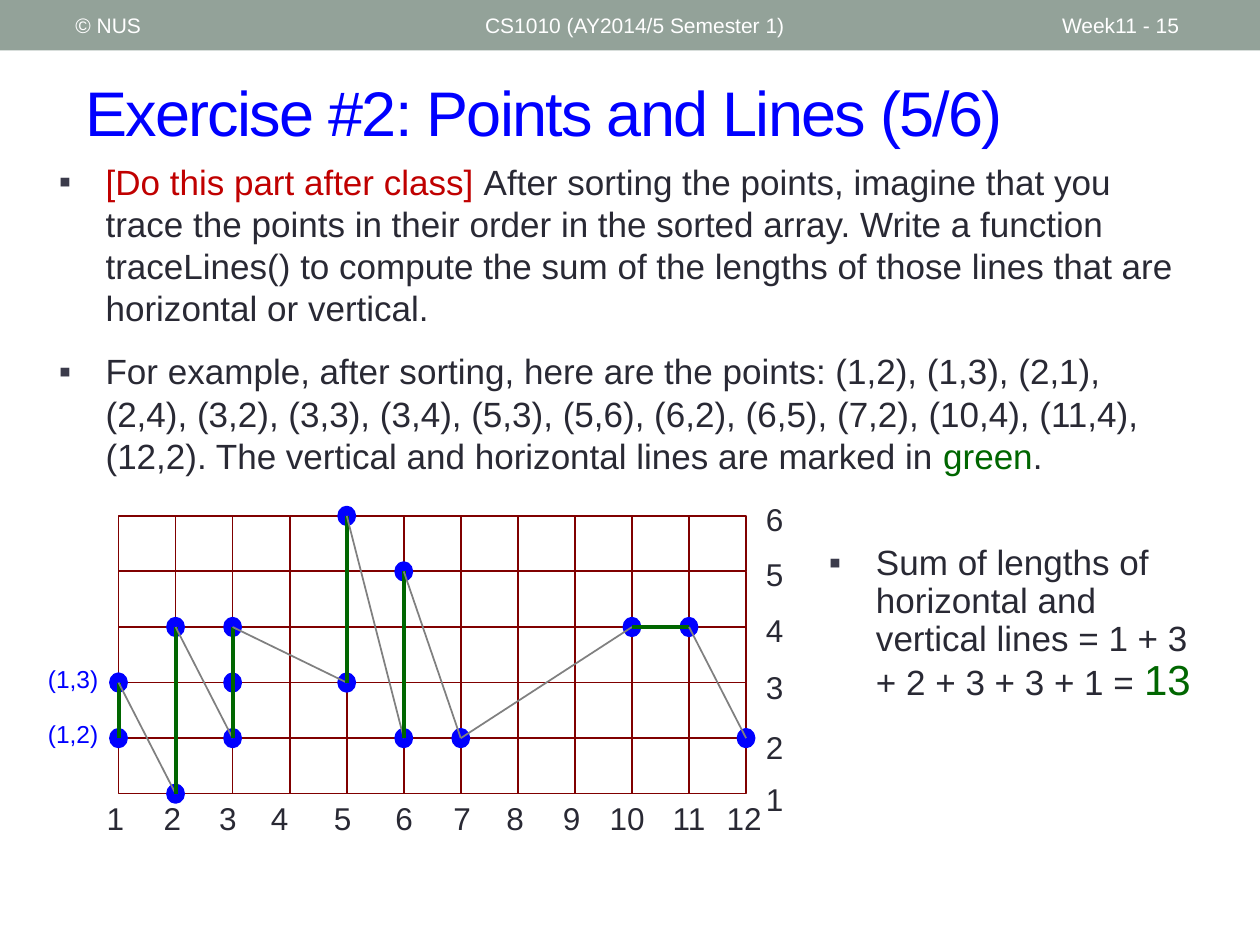
from itertools import pairwise

from lxml import etree
from pptx import Presentation
from pptx.dml.color import RGBColor
from pptx.enum.shapes import MSO_CONNECTOR, MSO_SHAPE
from pptx.enum.text import MSO_ANCHOR, PP_ALIGN
from pptx.oxml.ns import qn
from pptx.util import Cm, Pt

RECTANGLE, OVAL = MSO_SHAPE.RECTANGLE, MSO_SHAPE.OVAL
STRAIGHT = MSO_CONNECTOR.STRAIGHT
TOP, MIDDLE = MSO_ANCHOR.TOP, MSO_ANCHOR.MIDDLE
LEFT, CENTER = PP_ALIGN.LEFT, PP_ALIGN.CENTER
FONT = "Arial"
COLORS = {
    "band": "93A299", "white": "FFFFFF", "blue": "0000FF", "red": "C00000",
    "text": "292934", "bullet": "3B3B4B", "green": "006600",
    "grid": "800000", "gray": "808080",
}

# Each paragraph is a list of (text, color, size) spans.
TITLE = "Exercise #2: Points and Lines (5/6)"
HEADER = [
    ("© NUS", 1.27, 8.05),
    ("CS1010 (AY2014/5 Semester 1)", 9.53, 11.43),
    ("Week11 - 15", 21.16, 2.97),
]
BODY = [
    [("[Do this part after class] ", "red", 20),
     ("After sorting the points, imagine that you trace the points in their order "
      "in the sorted array. Write a function traceLines() to compute the sum of the "
      "lengths of those lines that are horizontal or vertical.", "text", 20)],
    [("For example, after sorting, here are the points: (1,2), (1,3), (2,1), (2,4), "
      "(3,2), (3,3), (3,4), (5,3), (5,6), (6,2), (6,5), (7,2), (10,4), (11,4), (12,2). "
      "The vertical and horizontal lines are marked in ", "text", 20),
     ("green", "green", 20), (".", "text", 20)],
]
TOTAL = [
    [("Sum of lengths of horizontal and vertical lines = 1 + 3 + 2 + 3 + 3 + 1 = ",
      "text", 20), ("13", "green", 24)],
]
POINTS = [
    (1, 2), (1, 3), (2, 1), (2, 4), (3, 2), (3, 3), (3, 4), (5, 3), (5, 6),
    (6, 2), (6, 5), (7, 2), (10, 4), (11, 4), (12, 2),
]
LABELED_POINTS = POINTS[:2]

# Centimetres
COLUMNS, ROWS = 12, 6
GRID_LEFT, GRID_BOTTOM = 2.39, 16.0
STEP_X, STEP_Y = 1.15, 1.12
DOT_WIDTH, DOT_HEIGHT = 0.3, 0.33
X_LABEL_LEFTS = [1.9, 3.05, 4.17, 5.21, 6.48, 7.72, 8.89, 9.96, 11.1, 12.04, 13.31, 14.4]
Y_LABEL_TOPS = [15.6, 14.55, 13.34, 12.19, 11.07, 9.96]
X_LABEL_TOP, Y_LABEL_LEFT = 15.98, 15.19


def color(name):
    return RGBColor.from_string(COLORS[name])


def grid_position(point):
    x, y = point
    return GRID_LEFT + (x - 1) * STEP_X, GRID_BOTTOM - (y - 1) * STEP_Y


def add_bullet(para, indent):
    properties = para._p.get_or_add_pPr()
    properties.set("marL", str(Cm(indent)))
    properties.set("indent", str(-Cm(indent)))
    bullet_color = etree.SubElement(properties, qn("a:buClr"))
    etree.SubElement(bullet_color, qn("a:srgbClr"), val=COLORS["bullet"])
    etree.SubElement(properties, qn("a:buFont"), typeface=FONT)
    etree.SubElement(properties, qn("a:buChar"), char="▪")


def add_text(shapes, area, paragraphs, anchor=TOP, align=LEFT, indent=None,
             line_spacing=None, tracking=None, wrap=True):
    box = shapes.add_textbox(*map(Cm, area))
    frame = box.text_frame
    frame.word_wrap, frame.vertical_anchor = wrap, anchor
    for index, spans in enumerate(paragraphs):
        para = frame.paragraphs[0] if index == 0 else frame.add_paragraph()
        if indent:
            add_bullet(para, indent)
        para.alignment = align
        if line_spacing:
            para.line_spacing = line_spacing
        if index:
            para.space_before = Pt(12)
        for text, color_name, size in spans:
            span = para.add_run()
            span.text = text
            for name, value in {"name": FONT, "size": Pt(size)}.items():
                setattr(span.font, name, value)
            span.font.color.rgb = color(color_name)
            if tracking:
                span._r.get_or_add_rPr().set("spc", str(tracking))


def add_shape(shapes, kind, area, fill=None, line=None, width=1):
    shape = shapes.add_shape(kind, *map(Cm, area))
    shape.shadow.inherit = False
    if fill:
        shape.fill.solid()
        shape.fill.fore_color.rgb = color(fill)
    else:
        shape.fill.background()
    if line:
        shape.line.color.rgb = color(line)
        shape.line.width = Pt(width)
    else:
        shape.line.fill.background()


def add_line(shapes, start, end, color_name, width):
    line = shapes.add_connector(STRAIGHT, *map(Cm, (*start, *end)))
    line.line.color.rgb = color(color_name)
    line.line.width = Pt(width)
    etree.SubElement(line._element.spPr, qn("a:effectLst"))


def add_graph(shapes):
    grid = shapes.add_group_shape().shapes
    for y in range(ROWS, 1, -1):
        for x in range(1, COLUMNS):
            add_shape(grid, RECTANGLE, (*grid_position((x, y)), STEP_X, STEP_Y),
                      line="grid")

    label_places = [(left, X_LABEL_TOP) for left in X_LABEL_LEFTS]
    label_places += [(Y_LABEL_LEFT, top) for top in Y_LABEL_TOPS]
    numbers = [*range(1, COLUMNS + 1), *range(1, ROWS + 1)]
    for number, place in zip(numbers, label_places):
        add_text(shapes, (*place, 1.27, 1.02), [[(str(number), "text", 18)]])

    for point in POINTS:
        x, y = grid_position(point)
        add_shape(shapes, OVAL, (x - DOT_WIDTH / 2, y - DOT_HEIGHT / 2,
                                 DOT_WIDTH, DOT_HEIGHT), "blue", "blue", 2.25)
        if point in LABELED_POINTS:
            label = f"({point[0]},{point[1]})"
            add_text(shapes, (x - 1.68, y - 0.5, 1.53, 0.86),
                     [[(label, "blue", 14)]], align=CENTER, wrap=False)

    for start, end in pairwise(POINTS):
        straight = start[0] == end[0] or start[1] == end[1]
        style = ("green", 2.25) if straight else ("gray", 1)
        add_line(shapes, grid_position(start), grid_position(end), *style)


def main():
    deck = Presentation()
    deck.slide_width, deck.slide_height = Cm(25.4), Cm(19.05)
    page = deck.slides.add_slide(deck.slide_layouts[6])
    shapes = page.shapes

    add_shape(shapes, RECTANGLE, (0, 0, 25.4, 1.02), "band")
    for text, left, width in HEADER:
        add_text(shapes, (left, 0.05, width, 0.91), [[(text, "white", 12)]], MIDDLE)
    add_text(shapes, (1.47, 1.07, 23.29, 2.34), [[(TITLE, "blue", 36)]], MIDDLE,
             tracking=-100)
    add_text(shapes, (0.94, 3.12, 23.19, 7.47), BODY, indent=0.94)
    add_graph(shapes)
    add_text(shapes, (16.46, 10.87, 8.08, 4.7), TOTAL, indent=0.95, line_spacing=0.9)

    deck.save("out.pptx")


if __name__ == "__main__":
    main()
